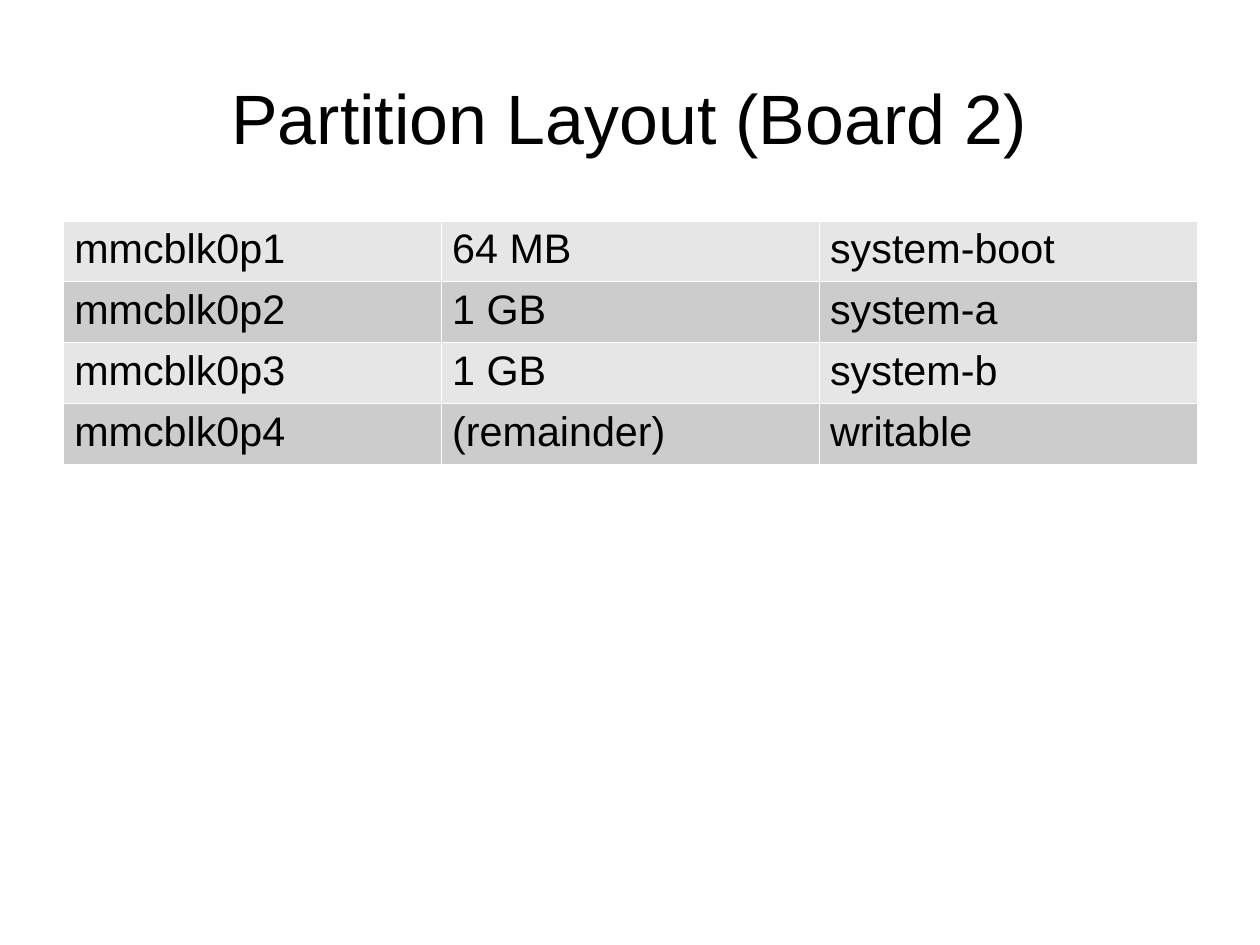
from lxml.etree import SubElement
from pptx import Presentation
from pptx.dml.color import RGBColor
from pptx.enum.text import MSO_ANCHOR, PP_ALIGN
from pptx.oxml.ns import qn
from pptx.util import Inches, Pt


def paint(fill, color):
    fill.solid()
    fill.fore_color.rgb = RGBColor.from_string(color)


def style(para, size):
    para.font.name = "Arial"
    para.font.size = Pt(size)
    paint(para.font.fill, "000000")


# Slide of 28 by 21 cm
deck = Presentation()
deck.slide_width = Inches(28 / 2.54)
deck.slide_height = Inches(21 / 2.54)
slide = deck.slides.add_slide(deck.slide_layouts[6])
left, width = Inches(0.55), Inches(9.92)

# Title
title = slide.shapes.add_textbox(left, Inches(0.33), width, Inches(1.38))
frame = title.text_frame
frame.word_wrap = True
frame.vertical_anchor = MSO_ANCHOR.MIDDLE
frame.margin_left = frame.margin_right = 0
frame.margin_top = frame.margin_bottom = 0
para = frame.paragraphs[0]
para.text = "Partition Layout (Board 2)"
para.alignment = PP_ALIGN.CENTER
style(para, 44)

# Partition table
rows = [
    ("mmcblk0p1", "64 MB", "system-boot"),
    ("mmcblk0p2", "1 GB", "system-a"),
    ("mmcblk0p3", "1 GB", "system-b"),
    ("mmcblk0p4", "(remainder)", "writable"),
]
bands = ("E6E6E6", "CCCCCC")
table = slide.shapes.add_table(
    len(rows), 3, left, Inches(1.93), width, Inches(2.03)
).table
table.first_row = False
table.horz_banding = False

for r, row in enumerate(rows):
    for c, text in enumerate(row):
        cell = table.cell(r, c)
        cell.text = text
        style(cell.text_frame.paragraphs[0], 26)

        # Thin white borders come before the fill
        props = cell._tc.get_or_add_tcPr()
        for side in ("a:lnL", "a:lnR", "a:lnT", "a:lnB"):
            line = SubElement(props, qn(side), w=str(Pt(0.06)))
            solid = SubElement(line, qn("a:solidFill"))
            SubElement(solid, qn("a:srgbClr"), val="FFFFFF")
        paint(cell.fill, bands[r % 2])

deck.save("out.pptx")
